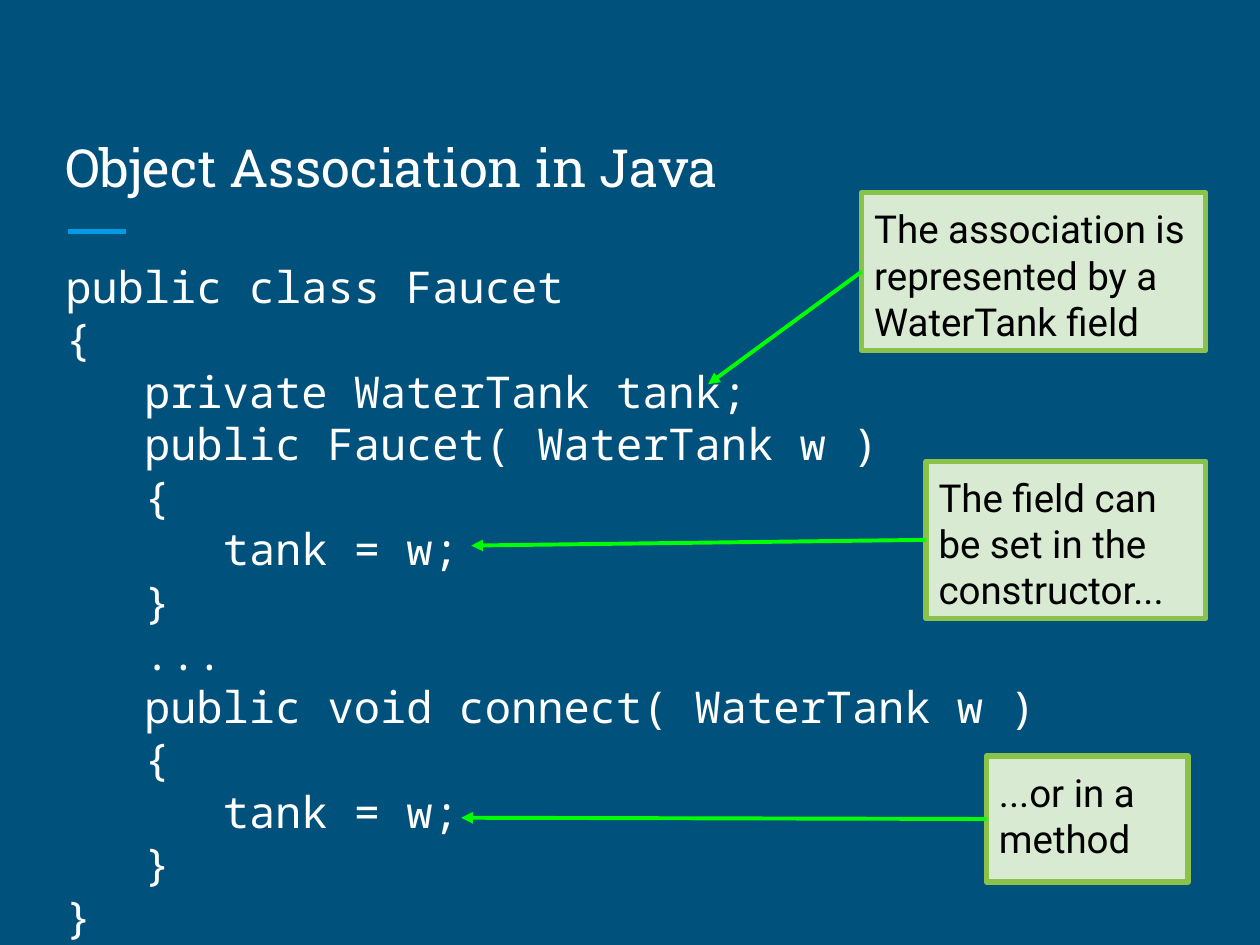
import pptx
import pptx.util
import pptx.dml.color
import pptx.enum.shapes
import pptx.enum.text
import pptx.oxml.ns
from dataclasses import dataclass
from lxml import etree

Inches, Pt = pptx.util.Inches, pptx.util.Pt
Rgb = pptx.dml.color.RGBColor.from_string
Anchor = pptx.enum.text.MSO_ANCHOR


@dataclass(frozen=True)
class Theme:
    background: str = "00517C"
    light_text: str = "FFFFFF"
    dark_text: str = "000000"
    accent: str = "039BE5"
    note_fill: str = "D9EAD3"
    note_border: str = "8BC34A"
    arrow: str = "00FF00"
    title_font: str = "Roboto Slab"
    code_font: str = "Noto Sans Mono"
    note_font: str = "Roboto"
    title_size: float = 30
    code_size: float = 25
    code_pitch: float = 30
    note_size: float = 22
    border_width: float = 3
    arrow_width: float = 2.25


THEME = Theme()
TITLE = "Object Association in Java"
# (nesting level, code)
CODE = [
    (0, "public class Faucet"),
    (0, "{"),
    (1, "private WaterTank tank;"),
    (1, "public Faucet( WaterTank w )"),
    (1, "{"),
    (2, "tank = w;"),
    (1, "}"),
    (1, "..."),
    (1, "public void connect( WaterTank w )"),
    (1, "{"),
    (2, "tank = w;"),
    (1, "}"),
    (0, "}"),
]
# (note, (left, top, width, height), arrow target)
NOTES = [
    ("The association is represented by a WaterTank field",
     (6.84, 1.53, 2.73, 1.25), (5.62, 3.05)),
    ("The field can be set in the constructor...",
     (7.35, 3.66, 2.22, 1.25), (3.74, 4.33)),
    ("...or in a method", (7.83, 6, 1.6, 1), (3.66, 6.49)),
]
# Three monospaced characters, each 0.6 em wide
INDENT = Pt(3 * 0.6 * THEME.code_size)


def set_up_frame(shape, anchor=Anchor.TOP):
    frame = shape.text_frame
    frame.word_wrap = True
    frame.vertical_anchor = anchor
    frame.margin_left = frame.margin_right = Inches(0.1)
    frame.margin_top = frame.margin_bottom = Inches(0.1)
    return frame


def add_run(paragraph, text, font, size, color):
    paragraph.alignment = pptx.enum.text.PP_ALIGN.LEFT
    run = paragraph.add_run()
    run.text = text
    run.font.name = font
    run.font.size = Pt(size)
    run.font.color.rgb = Rgb(color)


def add_line(slide, start, end, color, width, arrowhead=False):
    line = slide.shapes.add_connector(
        pptx.enum.shapes.MSO_CONNECTOR.STRAIGHT,
        *(Inches(value) for value in (*start, *end)))
    line.line.color.rgb = Rgb(color)
    line.line.width = Pt(width)
    qn = pptx.oxml.ns.qn
    if arrowhead:
        etree.SubElement(line.line._get_or_add_ln(), qn("a:tailEnd"), type="triangle")
    etree.SubElement(line._element.spPr, qn("a:effectLst"))


def add_title(slide):
    box = slide.shapes.add_textbox(Inches(0.42), Inches(0.67), Inches(9.15), Inches(1))
    frame = set_up_frame(box, Anchor.BOTTOM)
    add_run(frame.paragraphs[0], TITLE, THEME.title_font, THEME.title_size, THEME.light_text)


def add_code(slide):
    box = slide.shapes.add_textbox(Inches(0.42), Inches(1.96), Inches(9.15), Inches(5.37))
    frame = set_up_frame(box)
    for index, (level, code) in enumerate(CODE):
        paragraph = frame.add_paragraph() if index else frame.paragraphs[0]
        paragraph.line_spacing = Pt(THEME.code_pitch)
        properties = paragraph._p.get_or_add_pPr()
        properties.set("marL", str(level * INDENT))
        properties.set("indent", "0")
        add_run(paragraph, code, THEME.code_font, THEME.code_size, THEME.light_text)


def add_note(slide, text, bounds, target):
    """Add a note box and an arrow from the middle of its left edge."""
    left, top, _, height = bounds
    note = slide.shapes.add_shape(
        pptx.enum.shapes.MSO_SHAPE.RECTANGLE, *(Inches(value) for value in bounds))
    note.shadow.inherit = False
    note.fill.solid()
    note.fill.fore_color.rgb = Rgb(THEME.note_fill)
    note.line.color.rgb = Rgb(THEME.note_border)
    note.line.width = Pt(THEME.border_width)
    paragraph = set_up_frame(note).paragraphs[0]
    add_run(paragraph, text, THEME.note_font, THEME.note_size, THEME.dark_text)
    add_line(slide, (left, top + height / 2), target, THEME.arrow, THEME.arrow_width, True)


def main():
    deck = pptx.Presentation()
    deck.slide_width, deck.slide_height = Inches(10), Inches(7.5)
    slide = deck.slides.add_slide(deck.slide_layouts[6])
    slide.background.fill.solid()
    slide.background.fill.fore_color.rgb = Rgb(THEME.background)
    add_line(slide, (0.54, 1.84), (1, 1.84), THEME.accent, THEME.border_width)
    add_code(slide)
    add_title(slide)
    for note in NOTES:
        add_note(slide, *note)
    deck.save("out.pptx")


if __name__ == "__main__":
    main()
